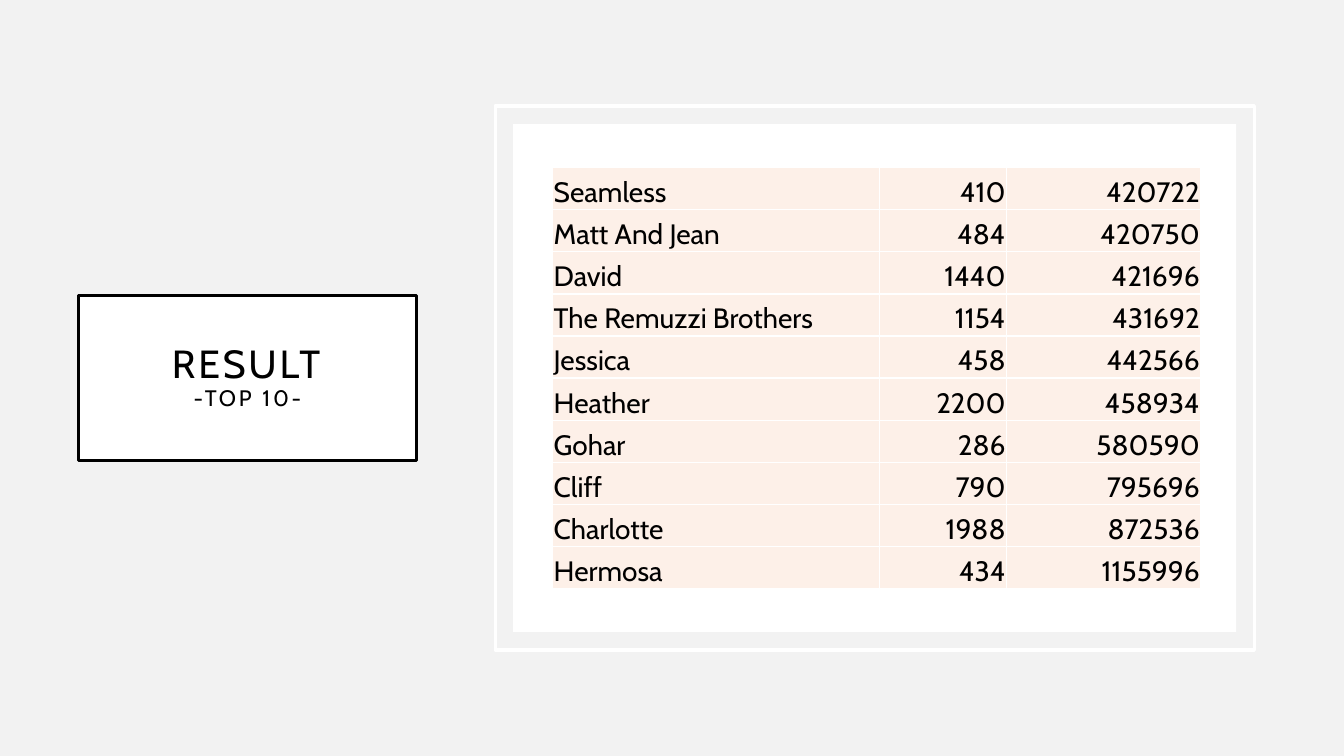
from dataclasses import dataclass

from lxml.etree import SubElement
from pptx import Presentation
from pptx.dml.color import RGBColor
from pptx.enum.shapes import MSO_SHAPE
from pptx.enum.text import MSO_ANCHOR, MSO_AUTO_SIZE, PP_ALIGN
from pptx.oxml.ns import qn
from pptx.util import Pt


@dataclass(frozen=True)
class Theme:
    """Colours, font and type sizes of the slide."""
    backdrop: RGBColor = RGBColor(0xF2, 0xF2, 0xF2)
    white: RGBColor = RGBColor(0xFF, 0xFF, 0xFF)
    ink: RGBColor = RGBColor(0, 0, 0)
    cell: RGBColor = RGBColor(0xFD, 0xF0, 0xE8)
    font: str = "Cabin"
    title: int = 28
    subtitle: int = 16
    table: int = 20
    outline: float = 2.5


theme = Theme()


def add_panel(page, left, top, width, height, fill=None, line=None):
    """Add a flat rectangle with an optional fill and outline."""
    panel = page.shapes.add_shape(
        MSO_SHAPE.RECTANGLE, Pt(left), Pt(top), Pt(width), Pt(height))
    panel.shadow.inherit = False
    if fill is None:
        panel.fill.background()
    else:
        panel.fill.solid()
        panel.fill.fore_color.rgb = fill
    if line is None:
        panel.line.fill.background()
    else:
        panel.line.color.rgb = line
        panel.line.width = Pt(theme.outline)
    return panel


def style_span(span, size):
    """Apply the theme font, ink colour and a size to a run."""
    span.font.name = theme.font
    span.font.size = Pt(size)
    span.font.bold = False
    span.font.color.rgb = theme.ink


deck = Presentation()
deck.slide_width, deck.slide_height = Pt(960), Pt(540)
page = deck.slides.add_slide(deck.slide_layouts[5])

add_panel(page, 0, 0, 960, 540, fill=theme.backdrop)

# Title card, brought in front of the backdrop
title = page.shapes.title
page.shapes.element.append(title.element)
title.left, title.top, title.width, title.height = Pt(56.2), Pt(211), Pt(241.2), Pt(118)
title.fill.solid()
title.fill.fore_color.rgb = theme.white
title.line.color.rgb = theme.ink
title.line.width = Pt(theme.outline)
frame = title.text_frame
frame.text = "RESULT\v-TOP 10-"
frame.word_wrap = True
frame.auto_size = MSO_AUTO_SIZE.NONE
frame.vertical_anchor = MSO_ANCHOR.MIDDLE
frame.margin_left = frame.margin_right = frame.margin_top = frame.margin_bottom = Pt(14.4)
heading = frame.paragraphs[0]
heading.alignment = PP_ALIGN.CENTER
heading.line_spacing = 0.9
for span, size in zip(heading.runs, (theme.title, theme.subtitle)):
    style_span(span, size)
    span._r.get_or_add_rPr().set("spc", "200")

# Outlined frame around the white table panel
add_panel(page, 353.8, 75.6, 542.2, 388.8, line=theme.white)
add_panel(page, 366.6, 88.6, 516.4, 362.8, fill=theme.white)

results = [
    ("Seamless", 410, 420722),
    ("Matt And Jean", 484, 420750),
    ("David", 1440, 421696),
    ("The Remuzzi Brothers", 1154, 431692),
    ("Jessica", 458, 442566),
    ("Heather", 2200, 458934),
    ("Gohar", 286, 580590),
    ("Cliff", 790, 795696),
    ("Charlotte", 1988, 872536),
    ("Hermosa", 434, 1155996),
]
column_widths = (233.6, 90.7, 138.7)
row_height = 30.05
table = page.shapes.add_table(
    len(results), len(column_widths), Pt(394.8), Pt(119.8),
    Pt(sum(column_widths)), Pt(row_height * len(results))).table
table.first_row = table.horz_banding = False
for column, width in zip(table.columns, column_widths):
    column.width = Pt(width)

for row_index, result in enumerate(results):
    table.rows[row_index].height = Pt(row_height)
    for column_index, value in enumerate(result):
        cell = table.cell(row_index, column_index)
        cell.text = str(value)
        cell.vertical_anchor = MSO_ANCHOR.BOTTOM
        cell.margin_left = cell.margin_right = cell.margin_top = Pt(0.72)
        cell.margin_bottom = Pt(0)
        para = cell.text_frame.paragraphs[0]
        para.alignment = PP_ALIGN.RIGHT if column_index else PP_ALIGN.LEFT
        style_span(para.runs[0], theme.table)
        properties = cell._tc.get_or_add_tcPr()
        for side in ("a:lnL", "a:lnR", "a:lnT", "a:lnB"):
            border = SubElement(properties, qn(side), w=str(Pt(1)))
            paint = SubElement(border, qn("a:solidFill"))
            SubElement(paint, qn("a:srgbClr"), val=str(theme.white))
        cell.fill.solid()
        cell.fill.fore_color.rgb = theme.cell

deck.save("out.pptx")
